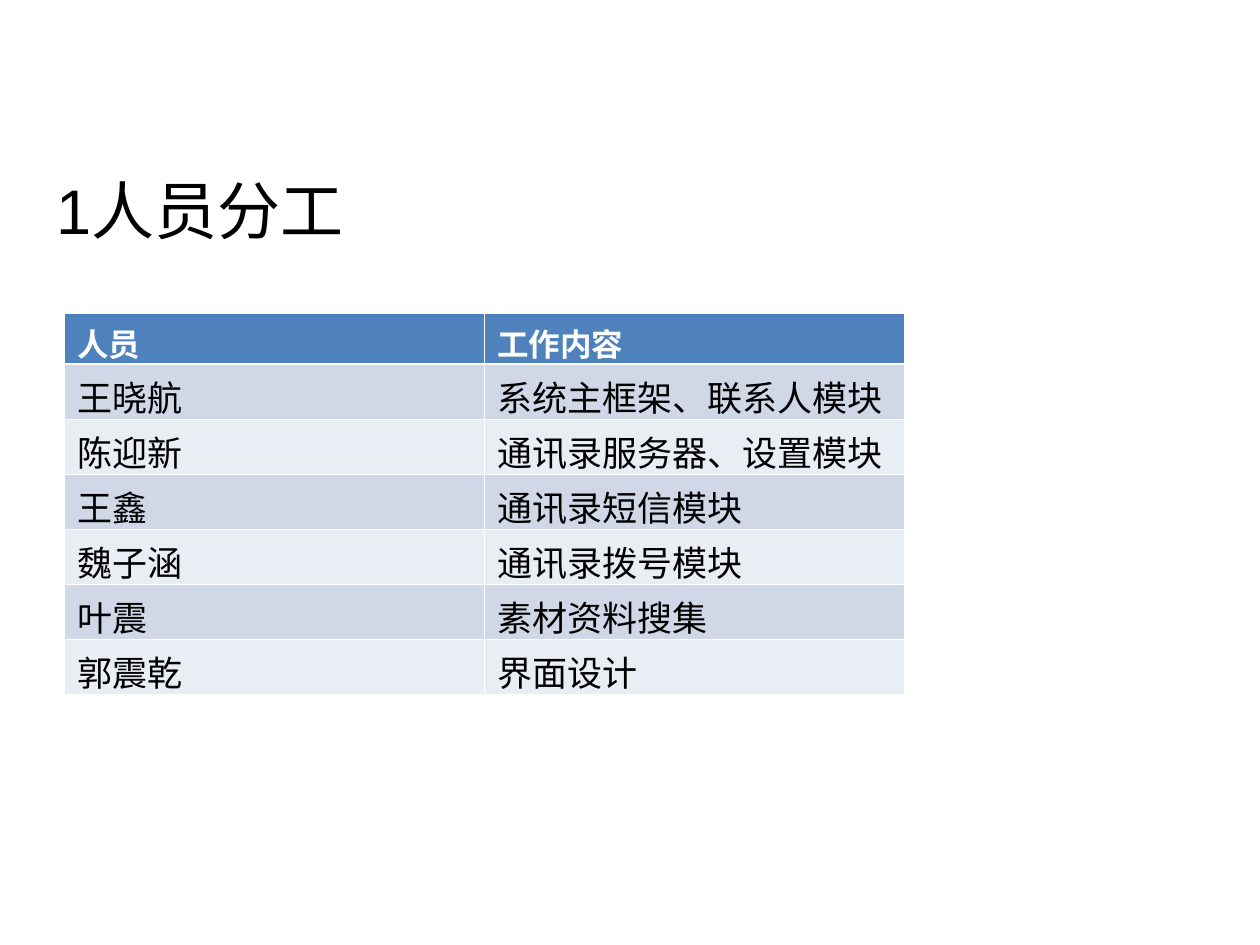
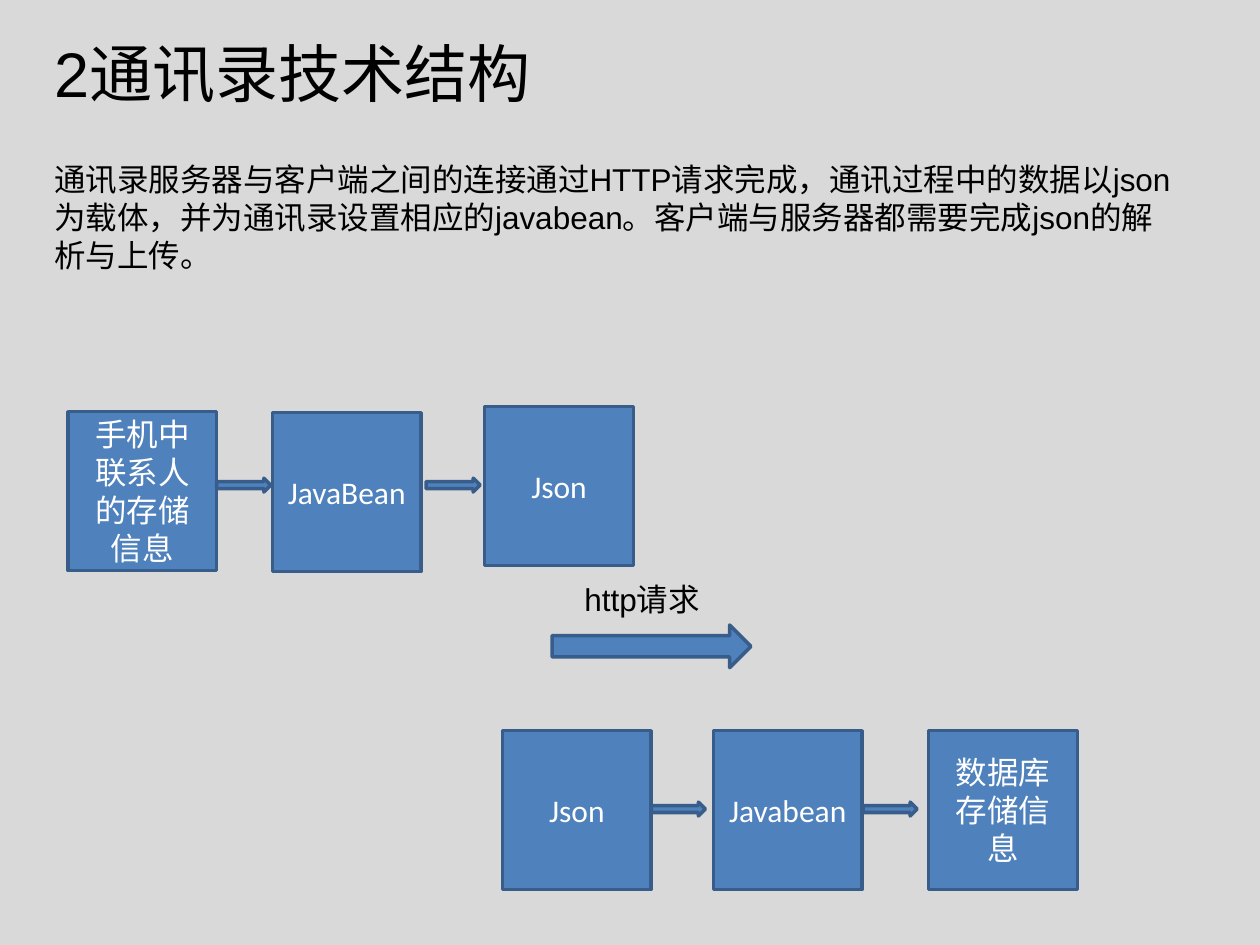
from lxml import etree
from pptx import Presentation
from pptx.dml.color import RGBColor
from pptx.enum.shapes import MSO_SHAPE
from pptx.enum.text import MSO_ANCHOR, PP_ALIGN
from pptx.oxml.ns import qn
from pptx.util import Cm, Pt

RECTANGLE, ARROW = MSO_SHAPE.RECTANGLE, MSO_SHAPE.RIGHT_ARROW
MIDDLE, TOP = MSO_ANCHOR.MIDDLE, MSO_ANCHOR.TOP
CENTER, LEFT = PP_ALIGN.CENTER, PP_ALIGN.LEFT

BLACK, WHITE, GREY = "000000", "FFFFFF", "D9D9D9"
BLUE, DARK_BLUE = "4F81BD", "385D8A"
BANDS = ("D0D8E8", "E9EDF4")
THIN, THICK = 0.45, 1.47
STEP_WIDTH, STEP_HEIGHT = 3, 3.2

STAFF = [
    ("人员", "工作内容"),
    ("王晓航", "系统主框架、联系人模块"),
    ("陈迎新", "通讯录服务器、设置模块"),
    ("王鑫", "通讯录短信模块"),
    ("魏子涵", "通讯录拨号模块"),
    ("叶震", "素材资料搜集"),
    ("郭震乾", "界面设计"),
]
SUMMARY = (
    "通讯录服务器与客户端之间的连接通过HTTP请求完成，通讯过程中的数据以json为载体，"
    "并为通讯录设置相应的javabean。客户端与服务器都需要完成json的解析与上传。"
)


def rgb(value):
    """Turn a hex string into a colour."""
    return RGBColor.from_string(value)


def write(frame, text, size=18, font="Arial", color=BLACK, bold=False,
          align=LEFT, anchor=TOP):
    """Put one formatted paragraph into a text frame."""
    frame.word_wrap = True
    frame.vertical_anchor = anchor
    paragraph = frame.paragraphs[0]
    paragraph.alignment = align
    run = paragraph.add_run()
    run.text = text
    run.font.size, run.font.name, run.font.bold = Pt(size), font, bold
    run.font.color.rgb = rgb(color)


def add_slide(deck, background):
    """Add a blank slide with a plain background."""
    slide = deck.slides.add_slide(deck.slide_layouts[6])
    slide.background.fill.solid()
    slide.background.fill.fore_color.rgb = rgb(background)
    return slide


def add_text(slide, box, text, **style):
    """Add a wrapped text box."""
    write(slide.shapes.add_textbox(*map(Cm, box)).text_frame, text, **style)


def add_block(slide, kind, box):
    """Add an outlined blue preset shape."""
    block = slide.shapes.add_shape(kind, *map(Cm, box))
    block.shadow.inherit = False
    block.fill.solid()
    block.fill.fore_color.rgb = rgb(BLUE)
    block.line.color.rgb = rgb(DARK_BLUE)
    block.line.width = Pt(2)
    return block


def add_borders(cell, top, bottom):
    """Draw white cell borders beneath the fill in schema order."""
    properties = cell._tc.get_or_add_tcPr()
    widths = {"a:lnL": THIN, "a:lnR": THIN, "a:lnT": top, "a:lnB": bottom}
    for position, (tag, width) in enumerate(widths.items()):
        line = etree.Element(qn(tag), w=str(Pt(width)))
        fill = etree.SubElement(line, qn("a:solidFill"))
        etree.SubElement(fill, qn("a:srgbClr"), val=WHITE)
        properties.insert(position, line)


def add_staff_table(slide, left, top):
    """Build the table of people and their work."""
    column, header, row_height = 8.47, 1.02, 1.11
    heights = [header] + [row_height] * (len(STAFF) - 1)
    table = slide.shapes.add_table(
        len(STAFF), 2, Cm(left), Cm(top), Cm(2 * column), Cm(sum(heights))).table
    for table_column in table.columns:
        table_column.width = Cm(column)
    for index, (entries, height) in enumerate(zip(STAFF, heights)):
        table.rows[index].height = Cm(height)
        is_header = index == 0
        for cell, text in zip(table.rows[index].cells, entries):
            cell.fill.solid()
            cell.fill.fore_color.rgb = rgb(BLUE if is_header else BANDS[(index - 1) % 2])
            add_borders(cell, THICK if index == 1 else THIN, THICK if is_header else THIN)
            write(cell.text_frame, text, size=18 if is_header else 20, font="Calibri",
                  color=WHITE if is_header else BLACK, bold=is_header)


def add_flow(slide, left, top, steps, arrows):
    """Place labelled steps and the small arrows between them."""
    for across, down, text in steps:
        step = add_block(slide, RECTANGLE,
                         (left + across, top + down, STEP_WIDTH, STEP_HEIGHT))
        write(step.text_frame, text, font="Calibri", color=WHITE,
              align=CENTER, anchor=MIDDLE)
    for across in arrows:
        add_block(slide, ARROW, (left + across, top + 1.44, 1.09, 0.28))


def add_request(slide, left, top):
    """Place the request label above its large arrow."""
    add_block(slide, ARROW, (left, top + 1.04, 4.01, 0.86))
    add_text(slide, (left + 0.4, top, 4.32, 1.02), "http请求")


def build_staff_slide(deck):
    """Build the slide on the division of work."""
    slide = add_slide(deck, WHITE)
    add_text(slide, (0.89, 3.33, 19, 4.83), "1人员分工", size=36)
    add_staff_table(slide, 1.3, 6.32)


def build_structure_slide(deck):
    """Build the slide on the technical structure."""
    slide = add_slide(deck, GREY)
    add_text(slide, (0.84, 0.58, 19.8, 3.3), "2通讯录技术结构", size=36)
    add_text(slide, (0.84, 3.1, 23.06, 2.54), SUMMARY)
    add_flow(slide, 1.37, 8.2,
             [(0, 0.1, "手机中联系人的存储信息"), (4.12, 0.12, "JavaBean"), (8.4, 0, "Json")],
             [3, 7.22])
    add_request(slide, 11.13, 11.56)
    add_flow(slide, 10.13, 14.73,
             [(0, 0, "Json"), (4.25, 0, "Javabean"), (8.59, 0, "数据库存储信息")],
             [3, 7.27])


def main():
    """Build and save the presentation."""
    deck = Presentation()
    deck.slide_width, deck.slide_height = Cm(25.4), Cm(19.05)
    build_staff_slide(deck)
    build_structure_slide(deck)
    deck.save("out.pptx")


if __name__ == "__main__":
    main()
